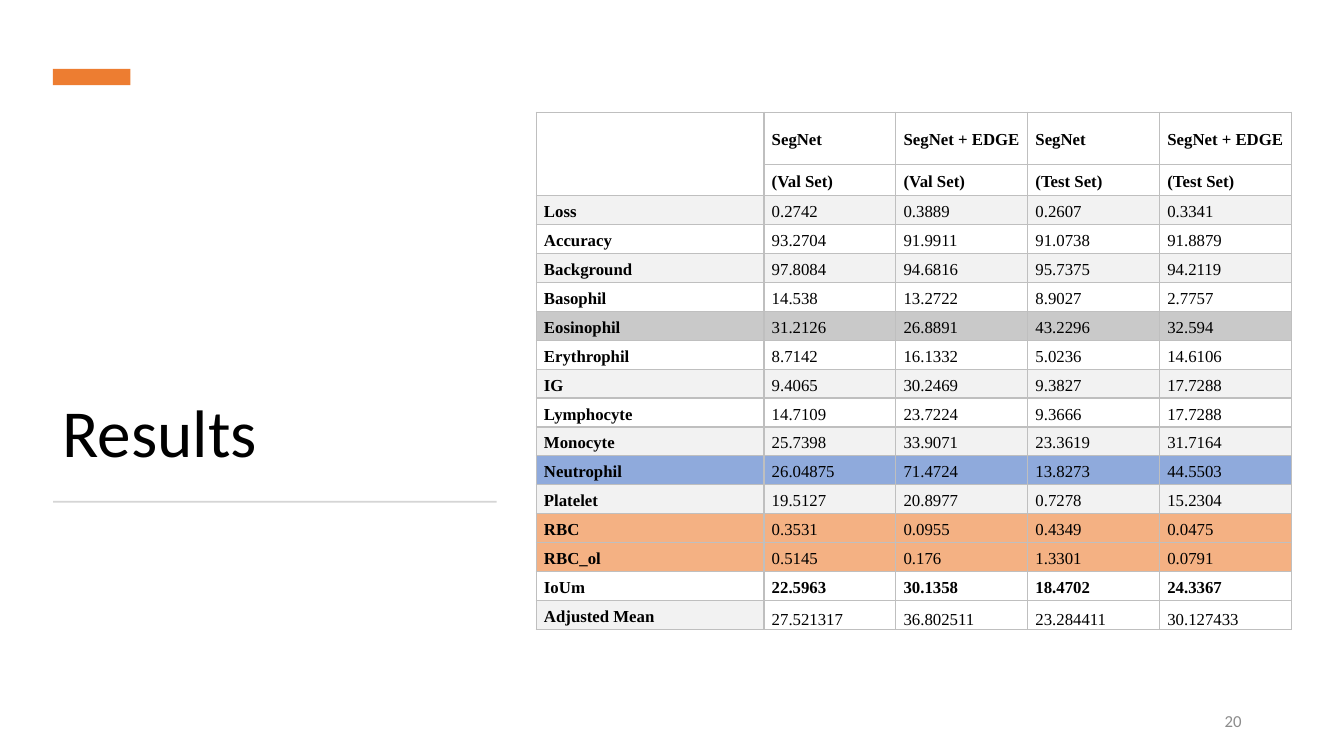
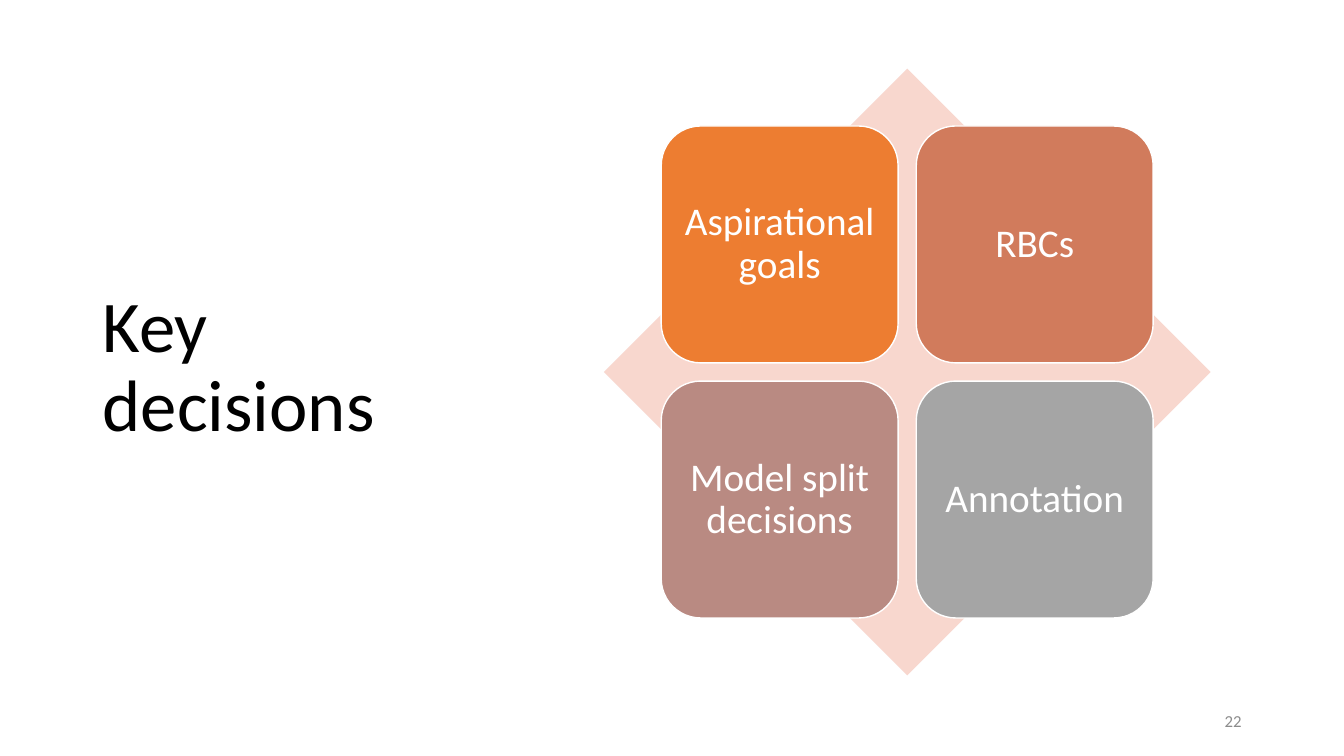
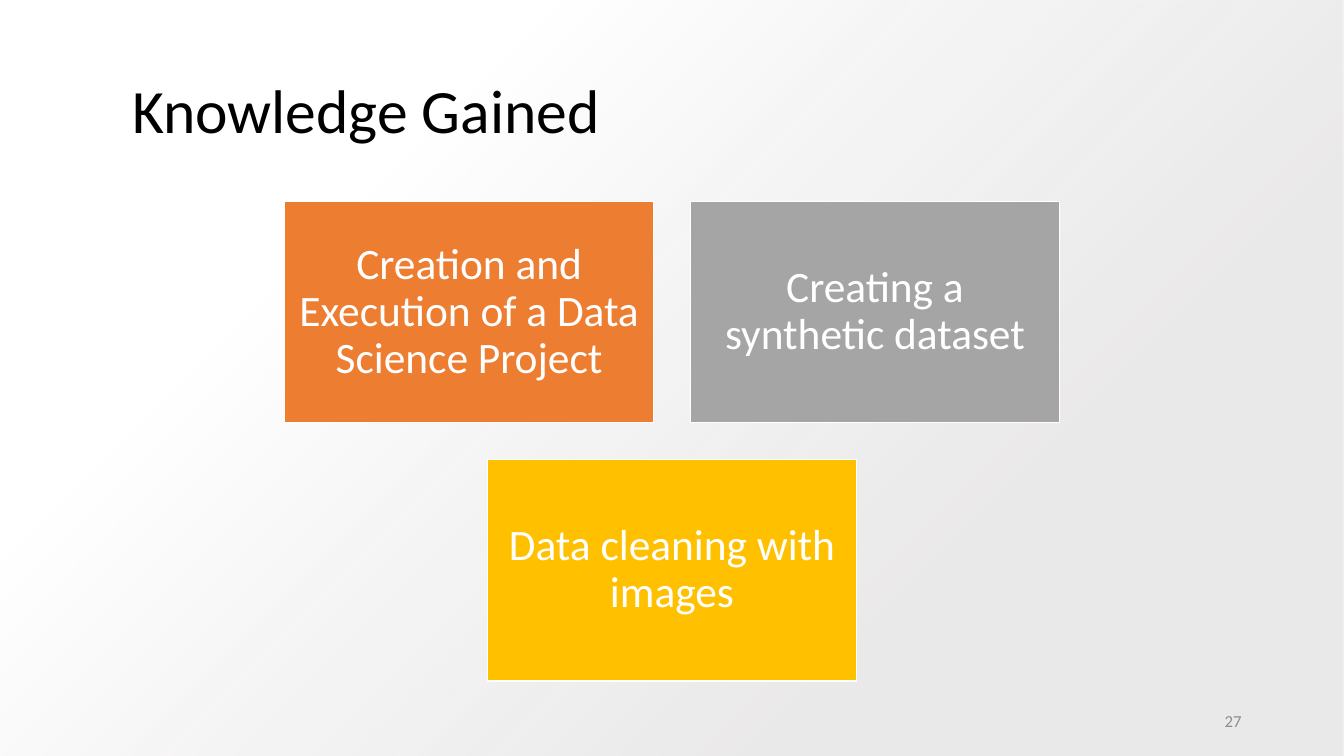
"""Build three slides: segmentation results, key decisions and knowledge gained."""
from dataclasses import dataclass

from lxml import etree
from pptx import Presentation
from pptx.dml.color import RGBColor
from pptx.enum.shapes import MSO_SHAPE
from pptx.enum.text import MSO_ANCHOR, MSO_AUTO_SIZE, PP_ALIGN
from pptx.oxml.ns import qn
from pptx.util import Pt

RECT, ROUNDED, DIAMOND = MSO_SHAPE.RECTANGLE, MSO_SHAPE.ROUNDED_RECTANGLE, MSO_SHAPE.DIAMOND
MIDDLE, BOTTOM = MSO_ANCHOR.MIDDLE, MSO_ANCHOR.BOTTOM
LEFT, CENTER, RIGHT = PP_ALIGN.LEFT, PP_ALIGN.CENTER, PP_ALIGN.RIGHT
NO_AUTOFIT = MSO_AUTO_SIZE.NONE
DRAWING = "http://schemas.openxmlformats.org/drawingml/2006/main"


@dataclass(frozen=True)
class Theme:
    """Colours, fonts and type sizes of the deck."""
    font: str = "Calibri"
    table_font: str = "Times New Roman"
    black: str = "000000"
    white: str = "FFFFFF"
    orange: str = "ED7D31"
    terracotta: str = "D17B5C"
    rose: str = "B98A82"
    grey: str = "A5A5A5"
    gold: str = "FFC000"
    blush: str = "F8D7CE"
    rule: str = "D5D5D5"
    number: str = "8C8C8C"
    border: str = "BFBFBF"
    stripe: str = "F2F2F2"
    dark_stripe: str = "C9C9C9"
    blue_row: str = "8FAADC"
    orange_row: str = "F4B183"
    haze: str = "E7E6E6"
    number_size: int = 12
    table_size: int = 12
    tile_size: int = 28
    card_size: int = 31


THEME = Theme()
PAGE_WIDTH, PAGE_HEIGHT = 960, 540

RESULTS = {
    "title": ("Results", (37.4, 88.6, 316.8, 252), 48, BOTTOM),
    "number": "20",
    "table": [
        ("", "SegNet", "SegNet + EDGE", "SegNet", "SegNet + EDGE"),
        ("", "(Val Set)", "(Val Set)", "(Test Set)", "(Test Set)"),
        ("Loss", "0.2742", "0.3889", "0.2607", "0.3341"),
        ("Accuracy", "93.2704", "91.9911", "91.0738", "91.8879"),
        ("Background", "97.8084", "94.6816", "95.7375", "94.2119"),
        ("Basophil", "14.538", "13.2722", "8.9027", "2.7757"),
        ("Eosinophil", "31.2126", "26.8891", "43.2296", "32.594"),
        ("Erythrophil", "8.7142", "16.1332", "5.0236", "14.6106"),
        ("IG", "9.4065", "30.2469", "9.3827", "17.7288"),
        ("Lymphocyte", "14.7109", "23.7224", "9.3666", "17.7288"),
        ("Monocyte", "25.7398", "33.9071", "23.3619", "31.7164"),
        ("Neutrophil", "26.04875", "71.4724", "13.8273", "44.5503"),
        ("Platelet", "19.5127", "20.8977", "0.7278", "15.2304"),
        ("RBC", "0.3531", "0.0955", "0.4349", "0.0475"),
        ("RBC_ol", "0.5145", "0.176", "1.3301", "0.0791"),
        ("IoUm", "22.5963", "30.1358", "18.4702", "24.3367"),
        ("Adjusted Mean", "27.521317", "36.802511", "23.284411", "30.127433"),
    ],
    "highlights": {
        "Eosinophil": THEME.dark_stripe,
        "Neutrophil": THEME.blue_row,
        "RBC": THEME.orange_row,
        "RBC_ol": THEME.orange_row,
    },
}
DECISIONS = {
    "title": ("Key decisions", (66.2, 43.9, 265.7, 438.5), 52, MIDDLE),
    "number": "22",
    "tiles": [
        ("Aspirational goals", THEME.orange),
        ("RBCs", THEME.terracotta),
        ("Model split decisions", THEME.rose),
        ("Annotation", THEME.grey),
    ],
}
KNOWLEDGE = {
    "title": ("Knowledge Gained", (87.1, 28.8, 807, 104.4), 44, MIDDLE),
    "number": "27",
    "card_rows": [
        [("Creation and Execution of a Data Science Project", THEME.orange),
         ("Creating a synthetic dataset", THEME.grey)],
        [("Data cleaning with images", THEME.gold)],
    ],
}


def apply(target, values):
    for name, value in values.items():
        setattr(target, name, value)


def write(frame, text, size, color, font=THEME.font, bold=False,
          align=LEFT, spacing=1.0):
    para = frame.paragraphs[0]
    apply(para, {"alignment": align, "line_spacing": spacing})
    span = para.add_run()
    span.text = text
    apply(span.font, {"name": font, "size": Pt(size), "bold": bold})
    span.font.color.rgb = RGBColor.from_string(color)


def add_block(page, kind, area, fill, line=None):
    box = page.shapes.add_shape(kind, *map(Pt, area))
    box.shadow.inherit = False
    box.fill.solid()
    box.fill.fore_color.rgb = RGBColor.from_string(fill)
    if line:
        box.line.color.rgb = RGBColor.from_string(line)
        box.line.width = Pt(1)
    else:
        box.line.fill.background()
    return box


def add_label_block(page, kind, area, label, fill, size, inset):
    box = add_block(page, kind, area, fill, THEME.white)
    frame = box.text_frame
    sides = ("margin_left", "margin_top", "margin_right", "margin_bottom")
    apply(frame, {"word_wrap": True, "vertical_anchor": MIDDLE,
                  **{side: Pt(inset) for side in sides}})
    write(frame, label, size, THEME.white, align=CENTER, spacing=0.9)


def start_page(deck, content):
    page = deck.slides.add_slide(deck.slide_layouts[5])
    text, area, size, anchor = content["title"]
    title = page.shapes.title
    apply(title, dict(zip(("left", "top", "width", "height"), map(Pt, area))))
    apply(title.text_frame, {"word_wrap": True, "auto_size": NO_AUTOFIT,
                             "vertical_anchor": anchor})
    write(title.text_frame, text, size, THEME.black, spacing=0.9)
    number = page.shapes.add_textbox(*map(Pt, (678, 500.5, 216, 28.8)))
    apply(number.text_frame, {"word_wrap": True, "vertical_anchor": MIDDLE})
    write(number.text_frame, content["number"], THEME.number_size, THEME.number, align=RIGHT)
    return page


def add_borders(cell):
    props = cell._tc.get_or_add_tcPr()
    for index, side in enumerate(("lnL", "lnR", "lnT", "lnB")):
        line = etree.Element(qn(f"a:{side}"), w=str(Pt(1)))
        solid = etree.SubElement(line, qn("a:solidFill"))
        etree.SubElement(solid, qn("a:srgbClr"), val=THEME.border)
        props.insert(index, line)


def add_results_table(page, rows, highlights):
    column_widths = [162.7] + [94.2] * 4
    row_heights = [37.4] + [20.65] * (len(rows) - 1)
    area = (383, 80.2, sum(column_widths), sum(row_heights))
    table = page.shapes.add_table(len(rows), len(column_widths), *map(Pt, area)).table
    apply(table, {"first_row": False, "horz_banding": False})
    for column, width in zip(table.columns, column_widths):
        column.width = Pt(width)
    for row, height in zip(table.rows, row_heights):
        row.height = Pt(height)
    for r, values in enumerate(rows):
        label = values[0]
        band = THEME.stripe if label and r % 2 == 0 else THEME.white
        for c, value in enumerate(values):
            cell = table.cell(r, c)
            mean_value = label == "Adjusted Mean" and c > 0
            fill = THEME.white if mean_value else highlights.get(label, band)
            apply(cell, {"margin_left": Pt(5.6), "margin_right": Pt(5.6),
                         "margin_top": Pt(0.7), "margin_bottom": Pt(0),
                         "vertical_anchor": BOTTOM if mean_value else MIDDLE})
            cell.fill.solid()
            cell.fill.fore_color.rgb = RGBColor.from_string(fill)
            add_borders(cell)
            if value:
                write(cell.text_frame, value, THEME.table_size, THEME.black,
                      font=THEME.table_font, spacing=1.15,
                      bold=c == 0 or label in ("", "IoUm"))
    table.cell(0, 0).merge(table.cell(1, 0))


def build_results(deck):
    page = start_page(deck, RESULTS)
    add_block(page, RECT, (37.8, 49.3, 55.4, 11.5), THEME.orange)
    add_block(page, RECT, (38, 357.7, 316.8, 1.4), THEME.rule)
    add_results_table(page, RESULTS["table"], RESULTS["highlights"])


def build_decisions(deck):
    page = start_page(deck, DECISIONS)
    center_x, center_y, diamond, tile, gap = 648, 265.7, 433.4, 169.2, 13
    add_block(page, DIAMOND, (center_x - diamond / 2, center_y - diamond / 2,
                              diamond, diamond), THEME.blush)
    left, top = (center - tile - gap / 2 for center in (center_x, center_y))
    for index, (label, fill) in enumerate(DECISIONS["tiles"]):
        row, column = divmod(index, 2)
        area = (left + column * (tile + gap), top + row * (tile + gap), tile, tile)
        add_label_block(page, ROUNDED, area, label, fill, THEME.tile_size, 8.4)


def add_haze(page):
    box = add_block(page, RECT, (0, 0, PAGE_WIDTH, PAGE_HEIGHT), THEME.white)
    gradient = etree.fromstring(
        f'<a:gradFill xmlns:a="{DRAWING}" rotWithShape="1"><a:gsLst>'
        f'<a:gs pos="28000"><a:srgbClr val="{THEME.haze}"><a:alpha val="84000"/></a:srgbClr></a:gs>'
        f'<a:gs pos="74000"><a:srgbClr val="{THEME.white}"/></a:gs></a:gsLst>'
        '<a:path path="circle"><a:fillToRect l="100000" t="100000"/></a:path>'
        '<a:tileRect r="-100000" b="-100000"/></a:gradFill>')
    props = box._element.spPr
    props.replace(props.find(qn("a:solidFill")), gradient)
    page.shapes._spTree.insert(2, box._element)


def build_knowledge(deck):
    page = start_page(deck, KNOWLEDGE)
    add_haze(page)
    width, height, gap, top = 263.5, 158, 26.4, 144
    for row, cards in enumerate(KNOWLEDGE["card_rows"]):
        left = (PAGE_WIDTH - len(cards) * (width + gap) + gap) / 2
        for column, (label, fill) in enumerate(cards):
            area = (left + column * (width + gap), top + row * (height + gap), width, height)
            add_label_block(page, RECT, area, label, fill, THEME.card_size, 9.3)


def main():
    deck = Presentation()
    apply(deck, {"slide_width": Pt(PAGE_WIDTH), "slide_height": Pt(PAGE_HEIGHT)})
    for build in (build_results, build_decisions, build_knowledge):
        build(deck)
    deck.save("out.pptx")


if __name__ == "__main__":
    main()
